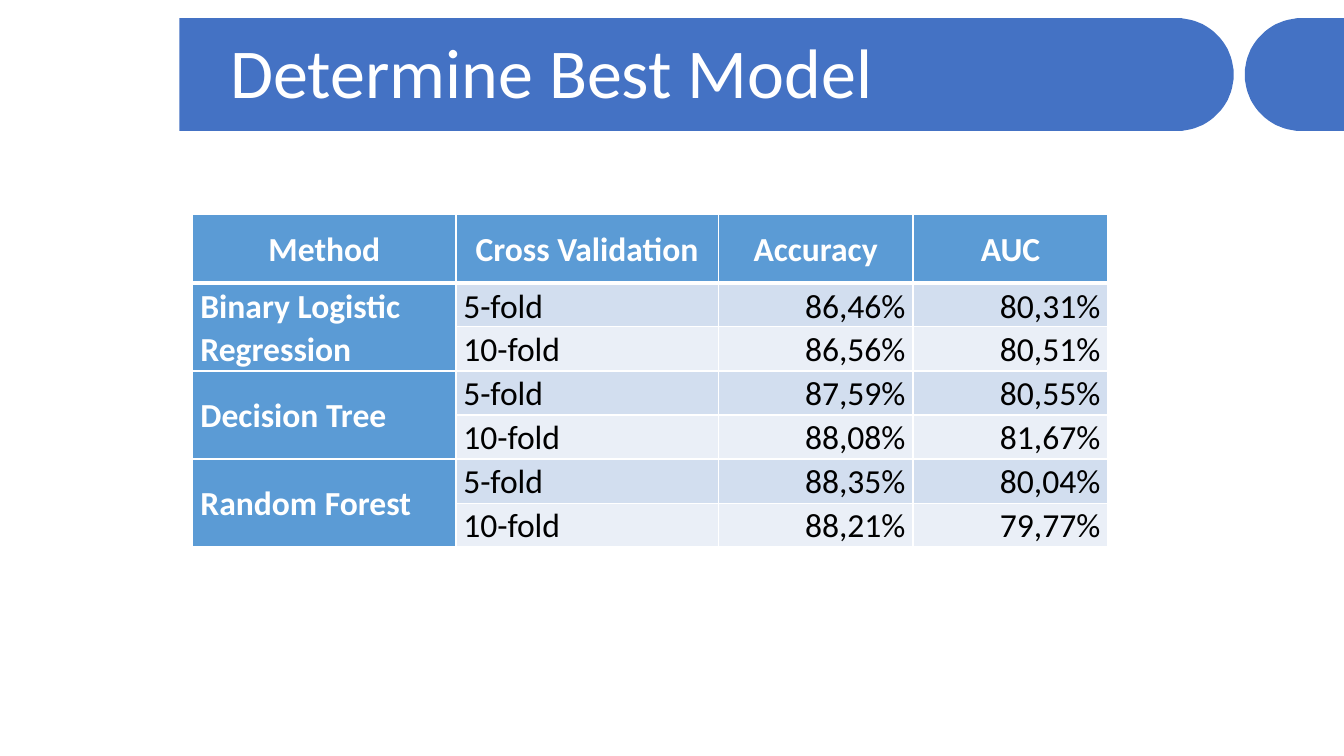
from math import cos, sin, pi
from lxml.etree import SubElement as Sub
from pptx import Presentation
from pptx.dml.color import RGBColor as Rgb
from pptx.enum.shapes import MSO_SHAPE as Kind
from pptx.enum.text import MSO_ANCHOR as Anchor, PP_ALIGN as Align
from pptx.oxml.ns import qn
from pptx.util import Cm, Pt

HUES = {"bar": "4472C4", "head": "5B9BD5", "odd": "D2DEEF",
        "even": "EAEFF7", "white": "FFFFFF", "black": "000000"}
FONT = "Calibri"

HEADS = ["Method", "Cross Validation", "Accuracy", "AUC"]
FOLDS = ["5-fold", "10-fold"]
MODELS = [
    ("Binary Logistic Regression", [("86,46%", "80,31%"), ("86,56%", "80,51%")]),
    ("Decision Tree", [("87,59%", "80,55%"), ("88,08%", "81,67%")]),
    ("Random Forest", [("88,35%", "80,04%"), ("88,21%", "79,77%")]),
]


def paint(part, hue):
    part.fill.solid()
    part.fill.fore_color.rgb = Rgb.from_string(HUES[hue])


def plain(shape, hue):
    paint(shape, hue)
    shape.line.fill.background()
    shape.shadow.inherit = False


def write(para, text, size, hue, bold=False):
    run = para.add_run()
    run.text = text
    font = run.font
    font.name, font.size, font.bold = FONT, Pt(size), bold
    font.color.rgb = Rgb.from_string(HUES[hue])


def pill(slide, left, top, flat, mid, rad, side):
    """Bar from the flat edge to a half circle at mid, in 0.01 cm."""
    turns = [pi * (i / 40 - 0.5) for i in range(41)]
    arc = [(round(mid + side * rad * cos(t)), round(rad + rad * sin(t)))
           for t in turns]
    pen = slide.shapes.build_freeform(flat, 0, scale=Cm(0.01))
    pen.add_line_segments(arc + [(flat, 2 * rad)], close=True)
    plain(pen.convert_to_shape(left, top), "bar")


def banner(slide, left, top, width):
    pill(slide, left, top, 0, 2967, 142, 1)
    pill(slide, left, top, round(width / Cm(0.01)), 3279, 142, -1)
    # Plain block at the left end
    block = slide.shapes.add_shape(Kind.RECTANGLE, left, top,
                                   Cm(4.52), Cm(2.84))
    plain(block, "white")
    # Title
    box = slide.shapes.add_textbox(left + Cm(5.56), top + Cm(0.5),
                                   Cm(27.15), Cm(2.01))
    frame = box.text_frame
    frame.word_wrap = True
    frame.vertical_anchor = Anchor.MIDDLE
    para = frame.paragraphs[0]
    para.line_spacing = 0.8
    write(para, "Determine Best Model", 50, "white")


def edge(cell, thick):
    """White borders; thick maps a side to a width other than 1 pt."""
    props = cell._tc.get_or_add_tcPr()
    for i, side in enumerate("LRTB"):
        line = Sub(props, qn("a:ln" + side), w=str(Pt(thick.get(side, 1))))
        fill = Sub(line, qn("a:solidFill"))
        Sub(fill, qn("a:srgbClr"), val=HUES["white"])
        props.insert(i, line)


def fill_cell(cell, text, hue, align, strong=False):
    paint(cell, hue)
    cell.margin_left = cell.margin_right = Cm(0.19)
    cell.margin_top = cell.margin_bottom = 0
    cell.vertical_anchor = Anchor.MIDDLE if strong else Anchor.TOP
    para = cell.text_frame.paragraphs[0]
    para.alignment, para.line_spacing = align, 1.07
    if text:
        write(para, text, 24, "white" if strong else "black", strong)


def scores(slide, left, top, width, height):
    count = 1 + len(MODELS) * len(FOLDS)
    grid = slide.shapes.add_table(count, len(HEADS), left, top,
                                  width, height).table
    grid.first_row = grid.horz_banding = False
    for col, size in zip(grid.columns, [6.63, 6.61, 4.91, 4.91]):
        col.width = Cm(size)
    for row, size in zip(grid.rows, [1.73, 1.07, 1.12] + [1.11] * 3 + [1.07]):
        row.height = Cm(size)
    # Header row
    for c, head in enumerate(HEADS):
        fill_cell(grid.cell(0, c), head, "head", Align.CENTER, True)
    # Two folds for each model
    for m, (name, pairs) in enumerate(MODELS):
        first = 1 + m * len(FOLDS)
        for f, (fold, pair) in enumerate(zip(FOLDS, pairs)):
            r, hue = first + f, ("odd", "even")[f]
            fill_cell(grid.cell(r, 0), "" if f else name, "head",
                      Align.LEFT, True)
            fill_cell(grid.cell(r, 1), fold, hue, Align.JUSTIFY)
            for c, score in enumerate(pair, 2):
                fill_cell(grid.cell(r, c), score, hue, Align.RIGHT)
        grid.cell(first, 0).merge(grid.cell(first + 1, 0))
    # Borders, heavier under the header
    heavy = {0: {"B": 3}, 1: {"T": 3}}
    for r in range(count):
        for c in range(len(HEADS)):
            edge(grid.cell(r, c), heavy.get(r, {}))


def main():
    deck = Presentation()
    deck.slide_width, deck.slide_height = Cm(33.87), Cm(19.05)
    slide = deck.slides.add_slide(deck.slide_layouts[6])
    banner(slide, 0, Cm(0.46), deck.slide_width)
    scores(slide, Cm(4.86), Cm(5.41), Cm(23.06), Cm(8.32))
    deck.save("out.pptx")


if __name__ == "__main__":
    main()
